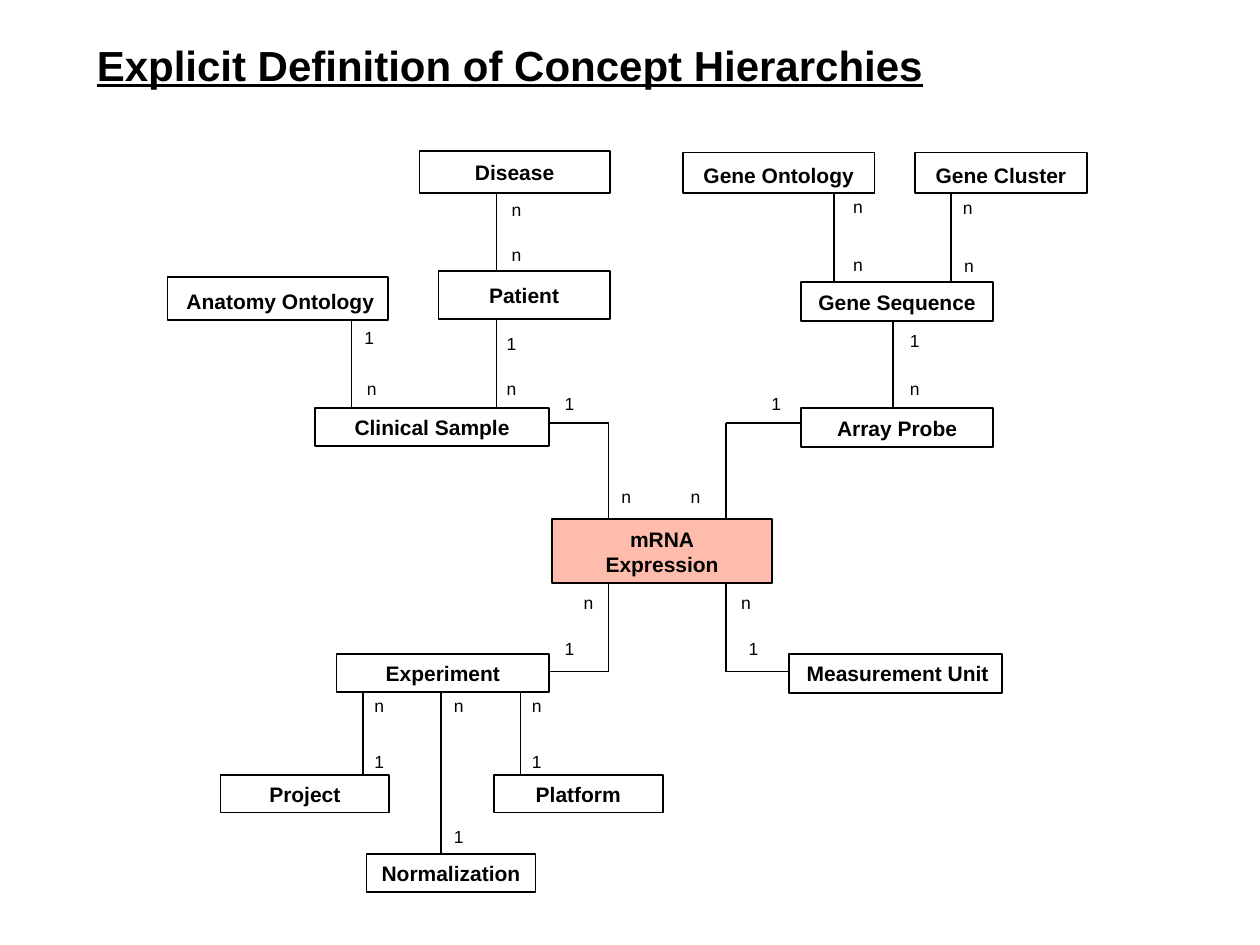
from dataclasses import dataclass
from itertools import pairwise

from lxml.etree import SubElement
from pptx import Presentation
from pptx.dml.color import RGBColor
from pptx.enum.shapes import MSO_CONNECTOR, MSO_SHAPE
from pptx.enum.text import MSO_ANCHOR, PP_ALIGN
from pptx.oxml.ns import qn
from pptx.util import Inches, Pt


@dataclass(frozen=True)
class Theme:
    font: str = "Arial"
    ink: RGBColor = RGBColor(0, 0, 0)
    paper: RGBColor = RGBColor(255, 255, 255)
    accent: RGBColor = RGBColor(0xFF, 0xBB, 0xAB)
    title_size: int = 24
    concept_size: int = 12
    label_size: int = 10
    line_width: int = 1


COLUMNS, ROWS = 100, 75

CONCEPTS = [
    ("Disease", 33.3, 12.0, 15.1, 3.3, {}),
    ("Gene Ontology", 54.2, 12.1, 15.2, 3.2, {"drop": 0.2}),
    ("Gene Cluster", 72.6, 12.1, 13.7, 3.2, {"drop": 0.2}),
    ("Anatomy Ontology", 13.3, 22.0, 17.5, 3.4, {"drop": 0.2, "shift": 0.2}),
    ("Patient", 34.8, 21.5, 13.6, 3.8, {}),
    ("Gene Sequence", 63.6, 22.4, 15.2, 3.1, {}),
    ("Clinical Sample", 25.0, 32.4, 18.6, 3.0, {}),
    ("Array Probe", 63.6, 32.4, 15.2, 3.1, {}),
    ("Experiment", 26.7, 51.9, 16.9, 3.0, {}),
    ("Measurement Unit", 62.6, 51.9, 16.9, 3.1, {"shift": 0.2}),
    ("Project", 17.5, 61.5, 13.4, 3.0, {}),
    ("Platform", 39.2, 61.5, 13.4, 3.0, {}),
    ("Normalization", 29.1, 67.8, 13.4, 3.0, {}),
]

RELATIONS = [
    [(39.4, 14.5), (39.4, 33.7)],
    [(27.9, 24.8), (27.9, 33.7)],
    [(66.2, 13.5), (66.2, 23.7)],
    [(75.5, 13.6), (75.5, 23.7)],
    [(70.9, 24.3), (70.9, 33.7)],
    [(41.3, 33.6), (48.3, 33.6), (48.3, 41.2)],
    [(64.3, 33.6), (57.6, 33.6), (57.6, 53.3), (63.0, 53.3)],
    [(48.3, 45.3), (48.3, 53.3), (41.3, 53.3)],
    [(28.8, 53.7), (28.8, 62.4)],
    [(35.0, 53.7), (35.0, 70.0)],
    [(41.3, 53.7), (41.3, 62.4)],
]

CARDINALITIES = {
    "n": [
        (41.0, 16.6), (41.0, 20.2), (68.1, 16.4), (68.1, 21.0),
        (76.8, 16.5), (76.9, 21.1), (29.5, 30.8), (40.6, 30.8),
        (72.6, 30.8), (49.7, 39.4), (55.2, 39.4), (46.7, 47.8),
        (59.2, 47.8), (30.1, 56.0), (36.4, 56.0), (42.6, 56.0),
    ],
    "1": [
        (29.3, 26.8), (40.6, 27.3), (72.6, 27.0), (45.2, 32.0),
        (61.6, 32.0), (45.2, 51.5), (59.8, 51.5), (30.1, 60.4),
        (42.6, 60.4), (36.4, 66.4),
    ],
}


def format_text(frame, text, *, font, color, size, bold=False, underline=False,
                align=PP_ALIGN.CENTER):
    frame.word_wrap = True
    frame.vertical_anchor = MSO_ANCHOR.MIDDLE
    for index, line in enumerate(text.split("\n")):
        para = frame.add_paragraph() if index else frame.paragraphs[0]
        para.alignment = align
        span = para.add_run()
        span.text = line
        span.font.name = font
        span.font.size = Pt(size)
        span.font.bold = bold
        span.font.underline = underline
        span.font.color.rgb = color


class HierarchySlide:
    def __init__(self, deck, theme):
        self.theme = theme
        self.column = deck.slide_width / COLUMNS
        self.row = deck.slide_height / ROWS
        self.page = deck.slides.add_slide(deck.slide_layouts[6])

    def place(self, left, top, width, height):
        return (round(left * self.column), round(top * self.row),
                round(width * self.column), round(height * self.row))

    def set_margins(self, frame, left=0, top=0):
        frame.margin_left = round(left * self.column)
        frame.margin_top = round(top * self.row)
        frame.margin_right = frame.margin_bottom = 0

    def fill_text(self, frame, text, **style):
        format_text(frame, text, font=self.theme.font, color=self.theme.ink, **style)

    def title(self, text, left, top, width, height):
        box = self.page.shapes.add_textbox(*self.place(left, top, width, height))
        self.set_margins(box.text_frame, left=1)
        self.fill_text(box.text_frame, text, size=self.theme.title_size, bold=True,
                       underline=True, align=PP_ALIGN.LEFT)

    def concept(self, text, left, top, width, height, fill=None, drop=0, shift=0):
        box = self.page.shapes.add_shape(
            MSO_SHAPE.RECTANGLE, *self.place(left, top, width, height))
        box.shadow.inherit = False
        box.fill.solid()
        box.fill.fore_color.rgb = fill or self.theme.paper
        box.line.color.rgb = self.theme.ink
        box.line.width = Pt(self.theme.line_width)
        self.set_margins(box.text_frame, left=2 * shift, top=2 * drop)
        self.fill_text(box.text_frame, text, size=self.theme.concept_size, bold=True)

    def relation(self, points):
        for start, end in pairwise(points):
            line = self.page.shapes.add_connector(
                MSO_CONNECTOR.STRAIGHT, *self.place(*start, *end))
            line.line.color.rgb = self.theme.ink
            line.line.width = Pt(self.theme.line_width)
            SubElement(line._element.spPr, qn("a:effectLst"))

    def cardinality(self, text, center, middle, width=2, height=2):
        box = self.page.shapes.add_textbox(*self.place(
            center - width / 2, middle - height / 2, width, height))
        self.set_margins(box.text_frame)
        self.fill_text(box.text_frame, text, size=self.theme.label_size)


def main():
    deck = Presentation()
    deck.slide_width, deck.slide_height = Inches(10), Inches(7.5)
    theme = Theme()
    hierarchy = HierarchySlide(deck, theme)

    for points in RELATIONS:
        hierarchy.relation(points)
    for text, left, top, width, height, options in CONCEPTS:
        hierarchy.concept(text, left, top, width, height, **options)
    hierarchy.concept("mRNA\nExpression", 43.8, 41.2, 17.5, 5.1, fill=theme.accent)
    for text, centers in CARDINALITIES.items():
        for center, middle in centers:
            hierarchy.cardinality(text, center, middle)
    hierarchy.title("Explicit Definition of Concept Hierarchies", 6.7, 2.6, 75, 5)

    deck.save("out.pptx")


if __name__ == "__main__":
    main()
